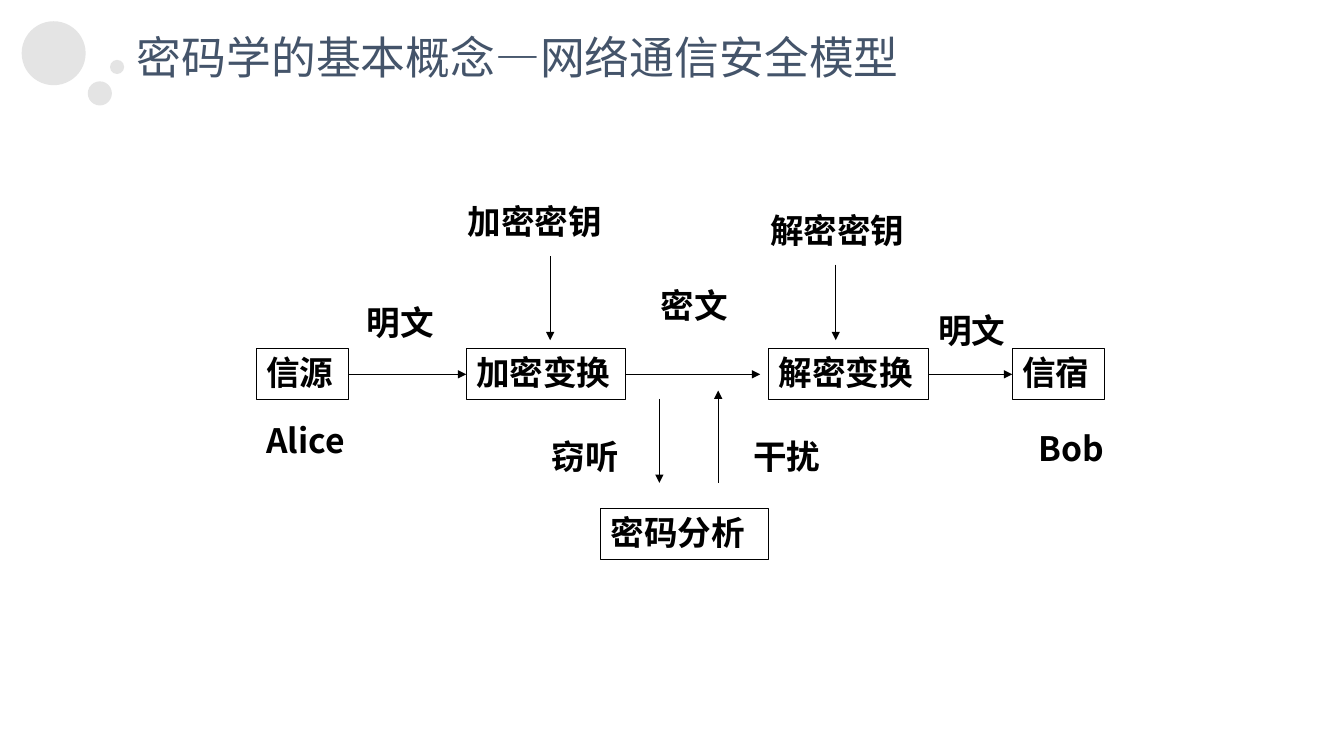
"""Build the slide on the secure network communication model."""
from dataclasses import dataclass

import pptx
import pptx.dml.color
import pptx.enum.shapes
import pptx.enum.text
import pptx.oxml
import pptx.oxml.ns
import pptx.util
from pptx.util import Pt


@dataclass(frozen=True)
class Theme:
    font: str = "Noto Sans CJK SC"
    title_color: str = "44546A"
    ink: str = "000000"
    bubble: str = "D9D9D9"
    bubble_opacity: int = 70
    title_size: int = 32
    body_size: int = 24
    line_width: float = 0.75


THEME = Theme()
PAGE_SIZE = (960, 540)
TITLE = "密码学的基本概念—网络通信安全模型"
TITLE_FRAME = (90.5, 18.5, 564, 46)
BUBBLES = [(15.5, 15.2, 45.7), (62.7, 58.1, 17.2), (78.6, 42.8, 10.1)]

ROW_HEIGHT = 36.75
CHANNEL_TOP = 249
NODES = {
    "信源": (183, CHANNEL_TOP, 66),
    "加密变换": (333, CHANNEL_TOP, 114),
    "解密变换": (549, CHANNEL_TOP, 114),
    "信宿": (723, CHANNEL_TOP, 66),
    "密码分析": (429, 363, 120),
}
CHANNEL_LINKS = [("信源", "加密变换", 0), ("加密变换", "解密变换", 6), ("解密变换", "信宿", 0)]
VERTICAL_ARROWS = [(393, 183, 243), (597, 189, 243), (471, 285, 345), (513, 345, 279)]
LABELS = [
    ("明文", 255, 213, 72),
    ("密文", 465, 201, 66),
    ("明文", 663, 219, 72),
    ("窃听", 387, 309, 72),
    ("干扰", 531, 309, 72),
    ("加密密钥", 327, 141, 132),
    ("解密密钥", 543, 147, 132),
    ("Alice", 183, 297, 90),
    ("Bob", 735, 303, 72),
]


def rgb(value):
    return pptx.dml.color.RGBColor.from_string(value)


def add_xml(parent, tag, **attributes):
    child = pptx.oxml.parse_xml(f"<{tag} {pptx.oxml.ns.nsdecls('a')}/>")
    for name, value in attributes.items():
        child.set(name, str(value))
    parent.append(child)


def write(shape, text, size, color, bold, wrap=True):
    frame = shape.text_frame
    frame.word_wrap = wrap
    frame.auto_size = pptx.enum.text.MSO_AUTO_SIZE.NONE
    frame.vertical_anchor = pptx.enum.text.MSO_ANCHOR.MIDDLE
    frame.margin_left = frame.margin_right = Pt(7.2)
    frame.margin_top, frame.margin_bottom = Pt(0), Pt(2.6)
    para = frame.paragraphs[0]
    para.alignment = pptx.enum.text.PP_ALIGN.LEFT
    span = para.add_run()
    span.text = text
    span.font.name, span.font.size, span.font.bold = THEME.font, Pt(size), bold
    span.font.color.rgb = rgb(color)
    add_xml(span.font._element, "a:ea", typeface=THEME.font)


def add_title(page):
    title = page.shapes.title
    title.left, title.top, title.width, title.height = map(Pt, TITLE_FRAME)
    write(title, TITLE, THEME.title_size, THEME.title_color, False, wrap=False)


def add_bubble(page, left, top, size):
    kind = pptx.enum.shapes.MSO_SHAPE.FLOWCHART_CONNECTOR
    bubble = page.shapes.add_shape(kind, Pt(left), Pt(top), Pt(size), Pt(size))
    bubble.shadow.inherit = False
    bubble.fill.solid()
    bubble.fill.fore_color.rgb = rgb(THEME.bubble)
    color = bubble._element.spPr.find(".//" + pptx.oxml.ns.qn("a:srgbClr"))
    add_xml(color, "a:alpha", val=THEME.bubble_opacity * 1000)
    bubble.line.fill.background()


def add_node(page, text, left, top, width):
    kind = pptx.enum.shapes.MSO_SHAPE.RECTANGLE
    node = page.shapes.add_shape(kind, Pt(left), Pt(top), Pt(width), Pt(ROW_HEIGHT))
    node.shadow.inherit = False
    node.fill.background()
    node.line.color.rgb = rgb(THEME.ink)
    node.line.width = Pt(THEME.line_width)
    write(node, text, THEME.body_size, THEME.ink, True)


def add_label(page, text, left, top, width):
    label = page.shapes.add_textbox(Pt(left), Pt(top), Pt(width), Pt(ROW_HEIGHT))
    write(label, text, THEME.body_size, THEME.ink, True)


def add_arrow(page, *ends):
    kind = pptx.enum.shapes.MSO_CONNECTOR.STRAIGHT
    arrow = page.shapes.add_connector(kind, *map(Pt, ends))
    arrow.line.color.rgb = rgb(THEME.ink)
    arrow.line.width = Pt(THEME.line_width)
    add_xml(arrow.line._get_or_add_ln(), "a:tailEnd", type="triangle")
    add_xml(arrow._element.spPr, "a:effectLst")


def main():
    deck = pptx.Presentation()
    deck.slide_width, deck.slide_height = map(Pt, PAGE_SIZE)
    page = deck.slides.add_slide(deck.slide_layouts.get_by_name("Title Only"))
    add_title(page)
    for bubble in BUBBLES:
        add_bubble(page, *bubble)
    for text, place in NODES.items():
        add_node(page, text, *place)
    channel = CHANNEL_TOP + ROW_HEIGHT / 2
    for source, target, gap in CHANNEL_LINKS:
        left, _, width = NODES[source]
        add_arrow(page, left + width, channel, NODES[target][0] - gap, channel)
    for across, start, end in VERTICAL_ARROWS:
        add_arrow(page, across, start, across, end)
    for label in LABELS:
        add_label(page, *label)
    deck.save("out.pptx")


if __name__ == "__main__":
    main()
